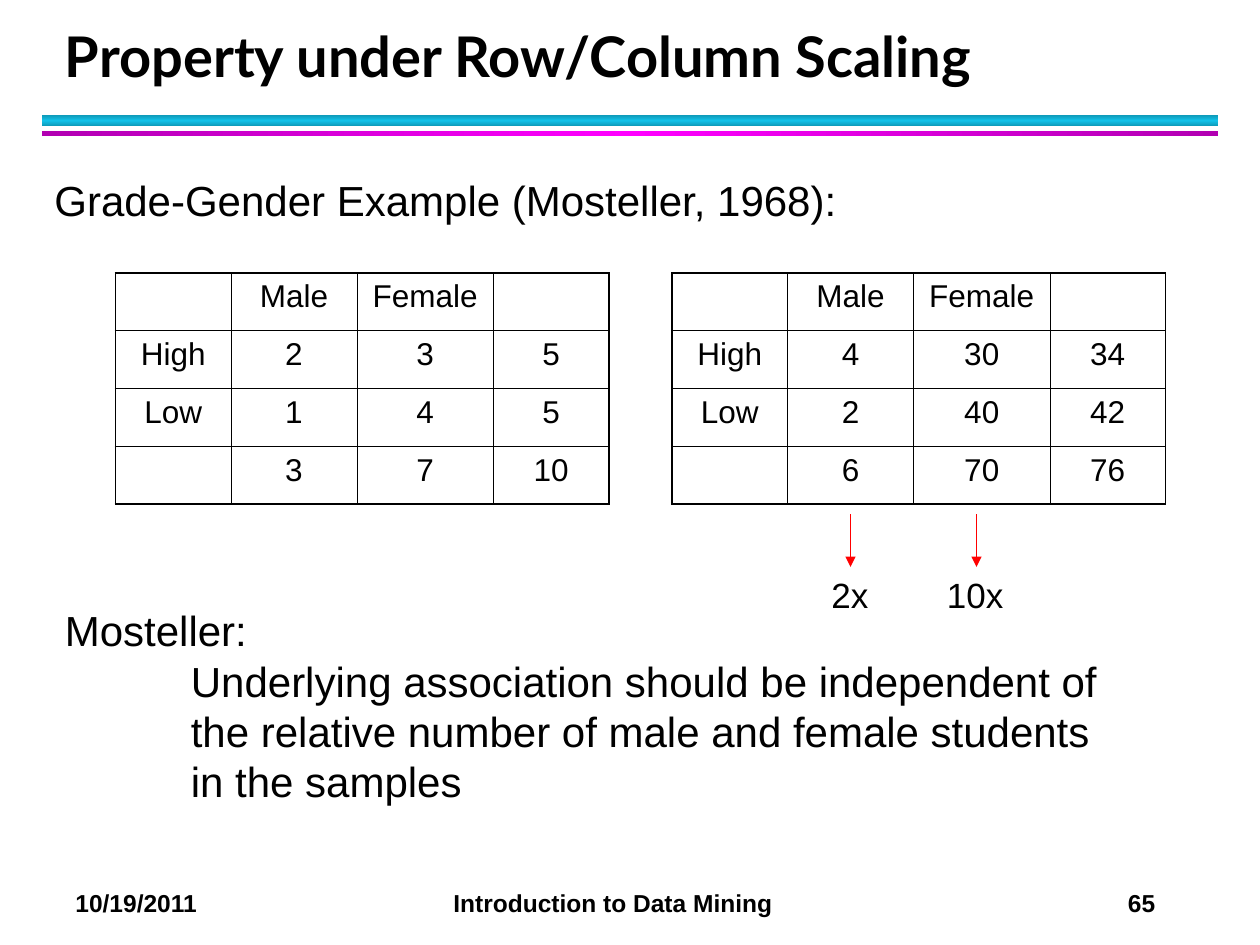
from copy import deepcopy

from lxml import etree
from pptx import Presentation, util as u
from pptx.dml.color import RGBColor
from pptx.enum import shapes, text
from pptx.oxml.ns import qn

COLS, ROWS = 120, 90
BLACK, RED = "000000", "FF0000"
AQUA, AQUA_DIM = "12C2E9", "0E9BBA"
PINK, PINK_DIM = "FF00FF", "B200B2"
ALIGN = text.PP_ALIGN
ANCHOR = text.MSO_ANCHOR


def rgb(tone):
    return RGBColor.from_string(tone)


def write(para, words, size=24, font="Arial", bold=False, tone=BLACK,
          align=ALIGN.LEFT, lead=None, indent=0, tabs=()):
    """Fill a paragraph; tabs are (position, kind) pairs, \\v breaks a line."""
    props = para._p.get_or_add_pPr()
    if indent:
        props.set("marL", str(int(indent)))
        props.set("indent", "0")
    if lead:
        para.line_spacing = u.Pt(lead)
    if tabs:
        stops = etree.SubElement(props, qn("a:tabLst"))
        for pos, kind in tabs:
            etree.SubElement(stops, qn("a:tab"), pos=str(int(pos)), algn=kind)
    para.text = words
    para.alignment = align
    face = para.font
    face.size, face.name, face.bold = u.Pt(size), font, bold
    face.color.rgb = rgb(tone)
    for run in para.runs:
        run.font.size, run.font.name, run.font.bold = u.Pt(size), font, bold
        run.font.color.rgb = rgb(tone)


class Deck:
    """Slide on a grid of COLS by ROWS square cells."""

    def __init__(self):
        self.prs = Presentation()
        self.prs.slide_width, self.prs.slide_height = u.Inches(10), u.Inches(7.5)
        self.slide = self.prs.slides.add_slide(self.prs.slide_layouts[6])
        self.items = self.slide.shapes

    def x(self, col):
        return round(self.prs.slide_width * col / COLS)

    def y(self, row):
        return round(self.prs.slide_height * row / ROWS)

    def area(self, col, row, wide, high):
        return self.x(col), self.y(row), self.x(wide), self.y(high)

    def bar(self, col, row, wide, high, edge, mid, angle):
        bar = self.items.add_shape(shapes.MSO_SHAPE.RECTANGLE,
                                   *self.area(col, row, wide, high))
        bar.shadow.inherit = False
        bar.line.fill.background()
        bar.fill.gradient()
        stops = bar._element.spPr.find(".//" + qn("a:gsLst"))
        stops.append(deepcopy(stops[0]))
        marks = zip(bar.fill.gradient_stops, (0, 0.5, 1), (edge, mid, edge))
        for stop, pos, tone in marks:
            stop.position = pos
            stop.color.rgb = rgb(tone)
        bar.fill.gradient_angle = angle

    def label(self, col, row, wide, high, *lines, anchor=ANCHOR.TOP, **style):
        """Add a text box; each line is a string or (string, extra format)."""
        frame = self.items.add_textbox(*self.area(col, row, wide, high)).text_frame
        frame.word_wrap = True
        frame.vertical_anchor = anchor
        style.setdefault("lead", 1.2 * style.get("size", 24))
        for i, line in enumerate(lines):
            words, extra = (line, {}) if isinstance(line, str) else line
            para = frame.add_paragraph() if i else frame.paragraphs[0]
            write(para, words, **{**style, **extra})

    def table(self, col, row, widths, high, data):
        count = len(data), len(widths)
        table = self.items.add_table(
            *count, *self.area(col, row, sum(widths), high * len(data))).table
        table.first_row = table.horz_banding = False
        for slot, wide in zip(table.columns, widths):
            slot.width = self.x(wide)
        for r, line in enumerate(data):
            table.rows[r].height = self.y(high)
            for c, value in enumerate(line):
                cell = table.cell(r, c)
                write(cell.text_frame.paragraphs[0], str(value), size=18,
                      align=ALIGN.CENTER)
                self.frame(cell, L=c == 0, R=c == count[1] - 1,
                           T=r == 0, B=r == count[0] - 1)
                cell.fill.background()

    def frame(self, cell, **sides):
        """Draw the cell borders, thick on the sides marked True."""
        props = cell._tc.get_or_add_tcPr()
        for side, outer in sides.items():
            width = u.Pt(1.08 if outer else 0.45)
            line = etree.SubElement(props, qn("a:ln" + side), w=str(int(width)))
            fill = etree.SubElement(line, qn("a:solidFill"))
            etree.SubElement(fill, qn("a:srgbClr"), val=BLACK)

    def arrow(self, col, top, low):
        line = self.items.add_connector(shapes.MSO_CONNECTOR.STRAIGHT, self.x(col),
                                        self.y(top), self.x(col), self.y(low))
        line.line.color.rgb = rgb(RED)
        line.line.width = u.Pt(1)
        etree.SubElement(line.line._get_or_add_ln(), qn("a:tailEnd"), type="triangle")
        etree.SubElement(line._element.spPr, qn("a:effectLst"))


def grades(high, low):
    """Lay out two rows of counts with their row and column sums."""
    sums = [a + b for a, b in zip(high, low)]
    return [["", "Male", "Female", ""],
            ["High", *high, sum(high)],
            ["Low", *low, sum(low)],
            ["", *sums, sum(sums)]]


def main():
    deck = Deck()
    deck.bar(4, 11, 112, 1, AQUA_DIM, AQUA, 90)
    deck.bar(4, 12.5, 112, 0.5, PINK_DIM, PINK, 0)
    deck.label(6, 84, 112, 4, "10/19/2011\tIntroduction to Data Mining\t65",
               size=14, bold=True,
               tabs=[(u.Inches(3), "l"), (u.Inches(8.57), "r")])
    deck.label(5, 2, 108.75, 7, "Property under Row/Column Scaling",
               size=32, font="Lato", bold=True, lead=36, anchor=ANCHOR.BOTTOM)

    widths = 11, 12, 13, 11
    deck.table(11, 26, widths, 5.5, grades((2, 3), (1, 4)))
    deck.table(64, 26, widths, 5.5, grades((4, 30), (2, 40)))

    deck.label(4, 16, 101, 6, "Grade-Gender Example (Mosteller, 1968):")
    deck.label(5, 57, 101, 20.4, "Mosteller:",
               ("Underlying association should be independent of\v"
                "the relative number of male and female students\v"
                "in the samples", {"indent": u.Inches(1)}))

    for col, left, scale in ((81, 78, "2x"), (93, 89, "10x")):
        deck.arrow(col, 49, 54)
        deck.label(left, 54, 8, 5.2, scale, size=20)
    deck.prs.save("out.pptx")


if __name__ == "__main__":
    main()
